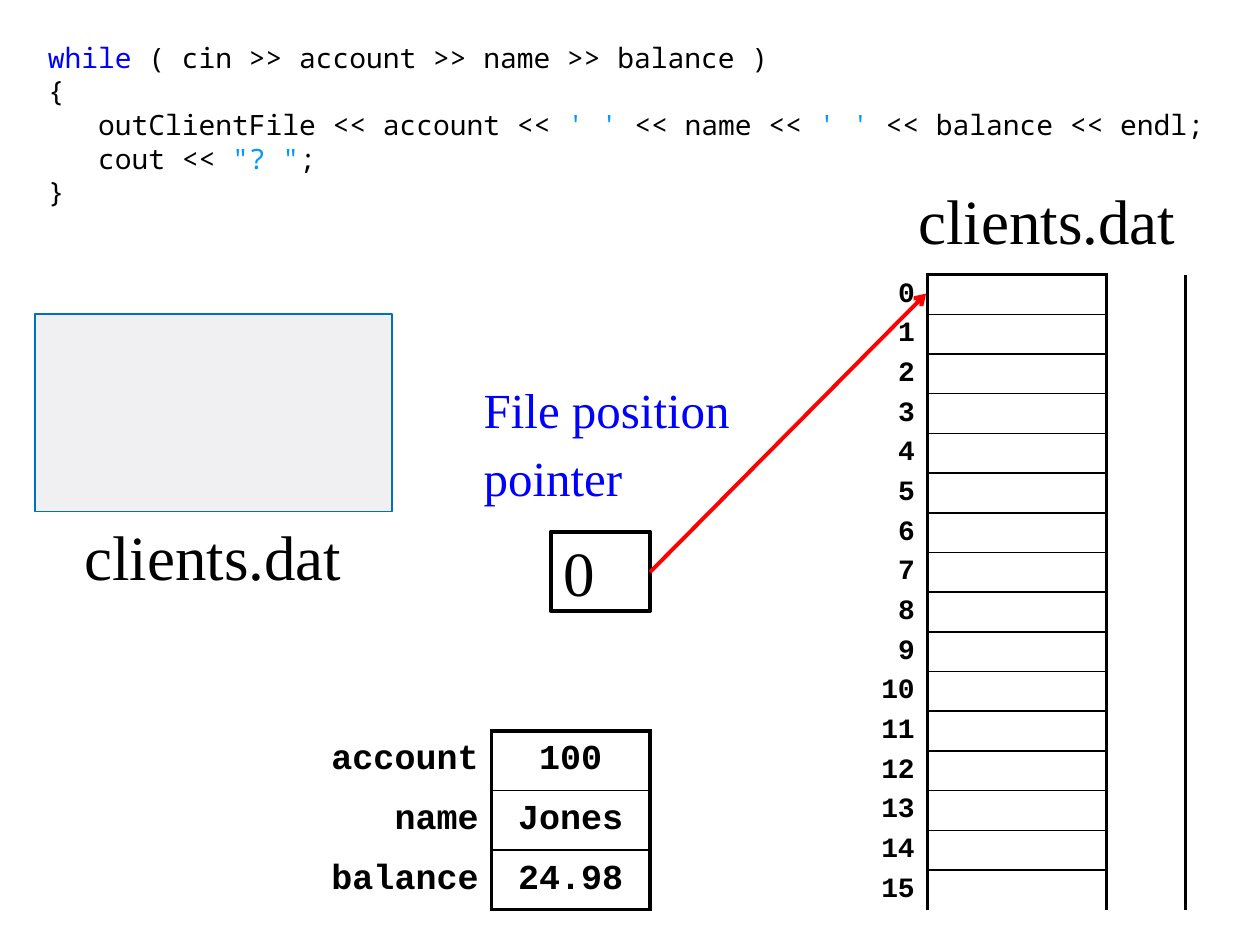
from lxml.etree import SubElement
from pptx import Presentation
from pptx.dml.color import RGBColor
from pptx.enum.shapes import MSO_CONNECTOR as Connector, MSO_SHAPE as Shape
from pptx.enum.text import MSO_ANCHOR as Anchor, PP_ALIGN as Align
from pptx.oxml import parse_xml
from pptx.oxml.ns import nsdecls, qn
from pptx.util import Inches, Pt

COLORS = {
    "black": "000000", "keyword": "0000FF", "literal": "0099FF",
    "arrow": "FF0000", "file_fill": "F0F0F2", "file_line": "0070C0",
}
PLAIN_TABLE = "{2D5ABB26-0587-4C30-8999-92F81FD0307C}"
THICK, THIN = 2.25, 1
CODE = [
    [("while", "keyword"), (" ( cin >> account >> name >> balance )", "black")],
    [("{", "black")],
    [("   outClientFile << account << ", "black"), ("' '", "literal"),
     (" << name << ", "black"), ("' '", "literal"),
     (" << balance << endl;", "black")],
    [("   cout << ", "black"), ('"? "', "literal"), (";", "black")],
    [("}", "black")],
]
RECORD = [("account", "100"), ("name", "Jones"), ("balance", "24.98")]
BYTE_COUNT = 16


def apply(target, values):
    for name, value in values.items():
        setattr(target, name, value)


def rgb(color):
    return RGBColor.from_string(COLORS[color])


def add_run(paragraph, text, font, size, color="black", bold=False):
    run = paragraph.add_run()
    run.text = text
    apply(run.font, {"name": font, "size": Pt(size), "bold": bold})
    run.font.color.rgb = rgb(color)


def space_before(paragraph, percent=20):
    properties = paragraph._p.get_or_add_pPr()
    spacing = SubElement(properties, qn("a:spcBef"))
    SubElement(spacing, qn("a:spcPct")).set("val", str(percent * 1000))


def add_code(slide):
    code = slide.placeholders[1]
    apply(code, {"left": Inches(0.28), "top": Inches(0.28),
                 "width": Inches(9.45), "height": Inches(1.42)})
    frame = code.text_frame
    apply(frame, {"margin_top": Inches(0.04), "margin_bottom": Inches(0.04),
                  "word_wrap": True, "vertical_anchor": Anchor.TOP})
    for number, line in enumerate(CODE):
        paragraph = frame.add_paragraph() if number else frame.paragraphs[0]
        apply(paragraph, {"space_before": Pt(0), "line_spacing": Pt(19.2)})
        properties = paragraph._p.get_or_add_pPr()
        properties.set("marL", "0")
        properties.set("indent", "0")
        SubElement(properties, qn("a:buNone"))
        for text, color in line:
            add_run(paragraph, text, "Noto Sans Mono", 16, color)


def add_label(slide, left, top, width, height, lines, size, color="black",
              align=Align.LEFT, wrap=True, spaced=False):
    label = slide.shapes.add_textbox(Inches(left), Inches(top),
                                     Inches(width), Inches(height))
    frame = label.text_frame
    frame.word_wrap = wrap
    for number, line in enumerate(lines):
        paragraph = frame.add_paragraph() if number else frame.paragraphs[0]
        paragraph.alignment = align
        if spaced:
            space_before(paragraph)
        add_run(paragraph, line, "Times New Roman", size, color)


def add_box(slide, left, top, width, height, line, weight, fill=None):
    box = slide.shapes.add_shape(Shape.RECTANGLE, Inches(left), Inches(top),
                                 Inches(width), Inches(height))
    box.shadow.inherit = False
    box.line.color.rgb = rgb(line)
    box.line.width = Pt(weight)
    if fill:
        box.fill.solid()
        box.fill.fore_color.rgb = rgb(fill)
    else:
        box.fill.background()
    return box


def add_pointer_value(slide):
    box = add_box(slide, 4.37, 4.22, 0.79, 0.63, "black", THICK)
    box.text_frame.vertical_anchor = Anchor.MIDDLE
    paragraph = box.text_frame.paragraphs[0]
    paragraph.alignment = Align.LEFT
    space_before(paragraph)
    add_run(paragraph, "0", "Times New Roman", 36)


def add_arrow(slide, start, end):
    arrow = slide.shapes.add_connector(
        Connector.STRAIGHT, *(Inches(value) for value in start + end))
    arrow.line.color.rgb = rgb("arrow")
    arrow.line.width = Pt(THICK)
    SubElement(arrow.line._get_or_add_ln(), qn("a:tailEnd")).set("type", "arrow")
    SubElement(arrow._element.spPr, qn("a:effectLst"))


def set_borders(cell, **weights):
    properties = cell._tc.get_or_add_tcPr()
    sides = [side for side in "LRTB" if weights.get(side)]
    for position, side in enumerate(sides):
        properties.insert(position, parse_xml(
            f'<a:ln{side} {nsdecls("a")} w="{Pt(weights[side])}"><a:solidFill>'
            f'<a:srgbClr val="{COLORS["black"]}"/></a:solidFill></a:ln{side}>'))


def add_cell_text(cell, text, size, align):
    paragraph = cell.text_frame.paragraphs[0]
    if not text:
        paragraph._p.get_or_add_endParaRPr().set("sz", "1200")
        return
    paragraph.alignment = align
    space_before(paragraph)
    add_run(paragraph, text, "Courier New", size, bold=True)


def add_memory_table(slide, left, top, widths, height, rows, size, margin,
                     closed=True):
    last = len(rows) - 1
    table = slide.shapes.add_table(
        len(rows), len(widths), Inches(left), Inches(top),
        Inches(sum(widths)), Inches(height)).table
    apply(table, {"first_row": False, "horz_banding": False})
    table._tbl.tblPr.find(qn("a:tableStyleId")).text = PLAIN_TABLE
    for column, width in zip(table.columns, widths):
        column.width = Inches(width)
    for number, values in enumerate(rows):
        table.rows[number].height = Inches(height / len(rows))
        for column, text in enumerate(values):
            cell = table.cell(number, column)
            cell.fill.background()
            apply(cell, {"vertical_anchor": Anchor.MIDDLE,
                         "margin_top": Inches(margin),
                         "margin_bottom": Inches(margin)})
            add_cell_text(cell, text, size,
                          Align.CENTER if column else Align.RIGHT)
        bottom = THIN if number < last else THICK if closed else None
        set_borders(table.cell(number, 0), R=THICK)
        set_borders(table.cell(number, 1), L=THICK, R=THICK,
                    T=THIN if number else THICK, B=bottom)
        if len(widths) > 2:
            set_borders(table.cell(number, 2), L=THICK)


def main():
    deck = Presentation()
    apply(deck, {"slide_width": Inches(10), "slide_height": Inches(7.5)})
    slide = deck.slides.add_slide(deck.slide_layouts[1])
    title = slide.shapes.title._element
    title.getparent().remove(title)

    add_code(slide)
    add_memory_table(slide, 2.48, 5.8, [1.42, 1.26], 1.42, RECORD, 20, 0.05)
    file_bytes = [(str(number), "", "", "") for number in range(BYTE_COUNT)]
    add_memory_table(slide, 6.89, 2.18, [0.47, 1.42, 0.63, 0.31], 5.04,
                     file_bytes, 16, 0.02, closed=False)
    add_label(slide, 3.74, 2.96, 2.22, 1.26, ["File position", "pointer"], 28,
              "keyword", spaced=True)
    add_pointer_value(slide)
    add_arrow(slide, (5.16, 4.54), (7.35, 2.33))
    add_box(slide, 0.28, 2.49, 2.83, 1.57, "file_line", THIN, "file_fill")
    for left, top in [(0.43, 4.06), (7.05, 1.39)]:
        add_label(slide, left, top, 2.52, 0.79, ["clients.dat"], 36,
                  align=Align.CENTER, wrap=False)
    deck.save("out.pptx")


if __name__ == "__main__":
    main()
